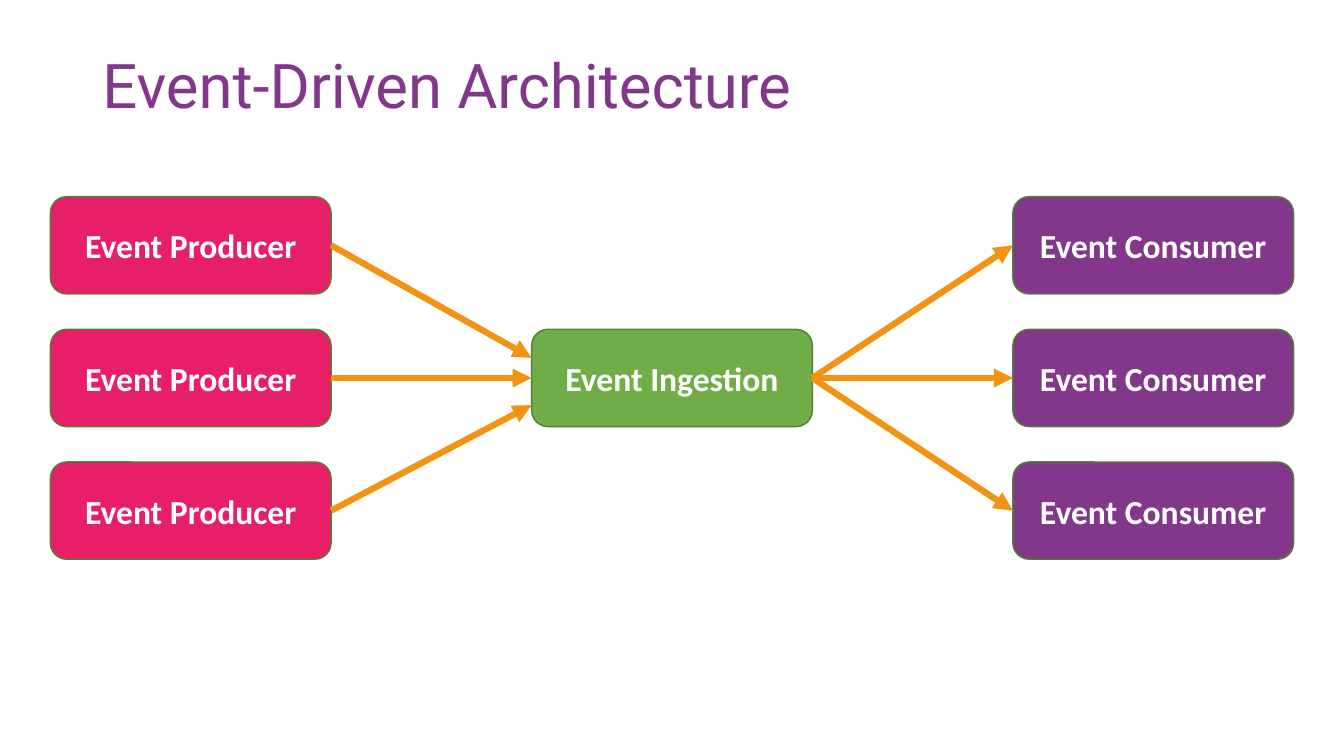
import pptx
import pptx.dml.color
import pptx.enum.shapes
import pptx.enum.text
import pptx.oxml
import pptx.oxml.ns
import pptx.util

Pt = pptx.util.Pt
RGBColor = pptx.dml.color.RGBColor

PURPLE = RGBColor(0x82, 0x37, 0x8A)
PINK = RGBColor(0xE7, 0x1F, 0x68)
GREEN = RGBColor(0x70, 0xAD, 0x47)
DARK_GREEN = RGBColor(0x53, 0x80, 0x35)
ORANGE = RGBColor(0xF2, 0x93, 0x13)
WHITE = RGBColor(0xFF, 0xFF, 0xFF)

# Layout in points: three columns, three rows around the slide's middle
SLIDE_WIDTH, SLIDE_HEIGHT = 960, 540
BOX_WIDTH, BOX_HEIGHT = 200.5, 69.5
PRODUCER_LEFT, INGESTION_LEFT, CONSUMER_LEFT = 36, 379.75, 723.5
MIDDLE = SLIDE_HEIGHT / 2
ROW_PITCH = 94.75
ROW_CENTERS = [MIDDLE + step * ROW_PITCH for step in (-1, 0, 1)]
INGESTION_ENTRIES = [255.6, MIDDLE, 289.4]


def format_text(paragraph, font_name, size, color, bold=False):
    for run in paragraph.runs:
        run.font.name = font_name
        run.font.size = Pt(size)
        run.font.bold = bold
        run.font.color.rgb = color


def add_title(slide, text):
    title = slide.shapes.add_textbox(Pt(66), Pt(10.8), Pt(828), Pt(104.4))
    text_frame = title.text_frame
    text_frame.word_wrap = True
    text_frame.vertical_anchor = pptx.enum.text.MSO_ANCHOR.MIDDLE
    text_frame.text = text
    paragraph = text_frame.paragraphs[0]
    paragraph.line_spacing = 0.9
    format_text(paragraph, "Roboto", 44, PURPLE)


def add_box(slide, text, left, center, color):
    box = slide.shapes.add_shape(
        pptx.enum.shapes.MSO_SHAPE.ROUNDED_RECTANGLE,
        Pt(left), Pt(center - BOX_HEIGHT / 2), Pt(BOX_WIDTH), Pt(BOX_HEIGHT))
    box.shadow.inherit = False
    box.fill.solid()
    box.fill.fore_color.rgb = color
    box.line.color.rgb = DARK_GREEN
    box.line.width = Pt(1)
    text_frame = box.text_frame
    text_frame.word_wrap = True
    text_frame.vertical_anchor = pptx.enum.text.MSO_ANCHOR.MIDDLE
    text_frame.text = text
    paragraph = text_frame.paragraphs[0]
    paragraph.alignment = pptx.enum.text.PP_ALIGN.CENTER
    format_text(paragraph, "Calibri", 24, WHITE, bold=True)


def add_arrow(slide, start_x, start_y, end_x, end_y):
    arrow = slide.shapes.add_connector(
        pptx.enum.shapes.MSO_CONNECTOR.STRAIGHT,
        Pt(start_x), Pt(start_y), Pt(end_x), Pt(end_y))
    arrow.line.color.rgb = ORANGE
    arrow.line.width = Pt(4.5)
    # Arrowhead at the end, and no shadow
    properties = arrow.line._get_or_add_ln()
    head = pptx.oxml.parse_xml(
        f'<a:tailEnd {pptx.oxml.ns.nsdecls("a")} type="triangle"/>')
    properties.append(head)
    properties.addnext(pptx.oxml.parse_xml(
        f'<a:effectLst {pptx.oxml.ns.nsdecls("a")}/>'))


def main():
    presentation = pptx.Presentation()
    presentation.slide_width = Pt(SLIDE_WIDTH)
    presentation.slide_height = Pt(SLIDE_HEIGHT)
    slide = presentation.slides.add_slide(presentation.slide_layouts[6])

    add_title(slide, "Event-Driven Architecture")

    # Boxes
    add_box(slide, "Event Ingestion", INGESTION_LEFT, MIDDLE, GREEN)
    for center in ROW_CENTERS:
        add_box(slide, "Event Producer", PRODUCER_LEFT, center, PINK)
        add_box(slide, "Event Consumer", CONSUMER_LEFT, center, PURPLE)

    # Arrows into and out of the ingestion box
    for center, entry in zip(ROW_CENTERS, INGESTION_ENTRIES):
        add_arrow(slide, PRODUCER_LEFT + BOX_WIDTH, center, INGESTION_LEFT, entry)
        add_arrow(slide, INGESTION_LEFT + BOX_WIDTH, MIDDLE, CONSUMER_LEFT, center)

    presentation.save("out.pptx")


if __name__ == "__main__":
    main()
